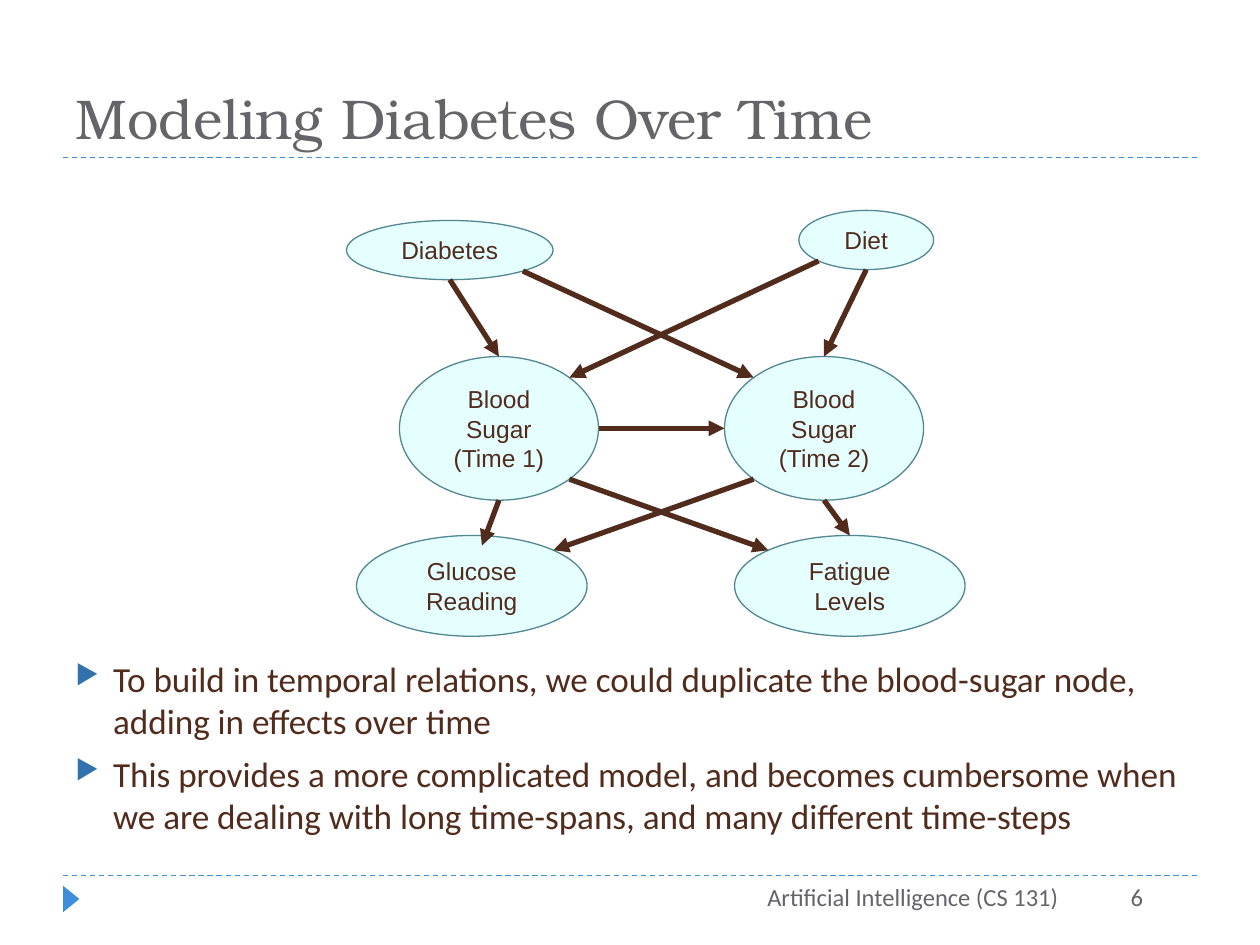
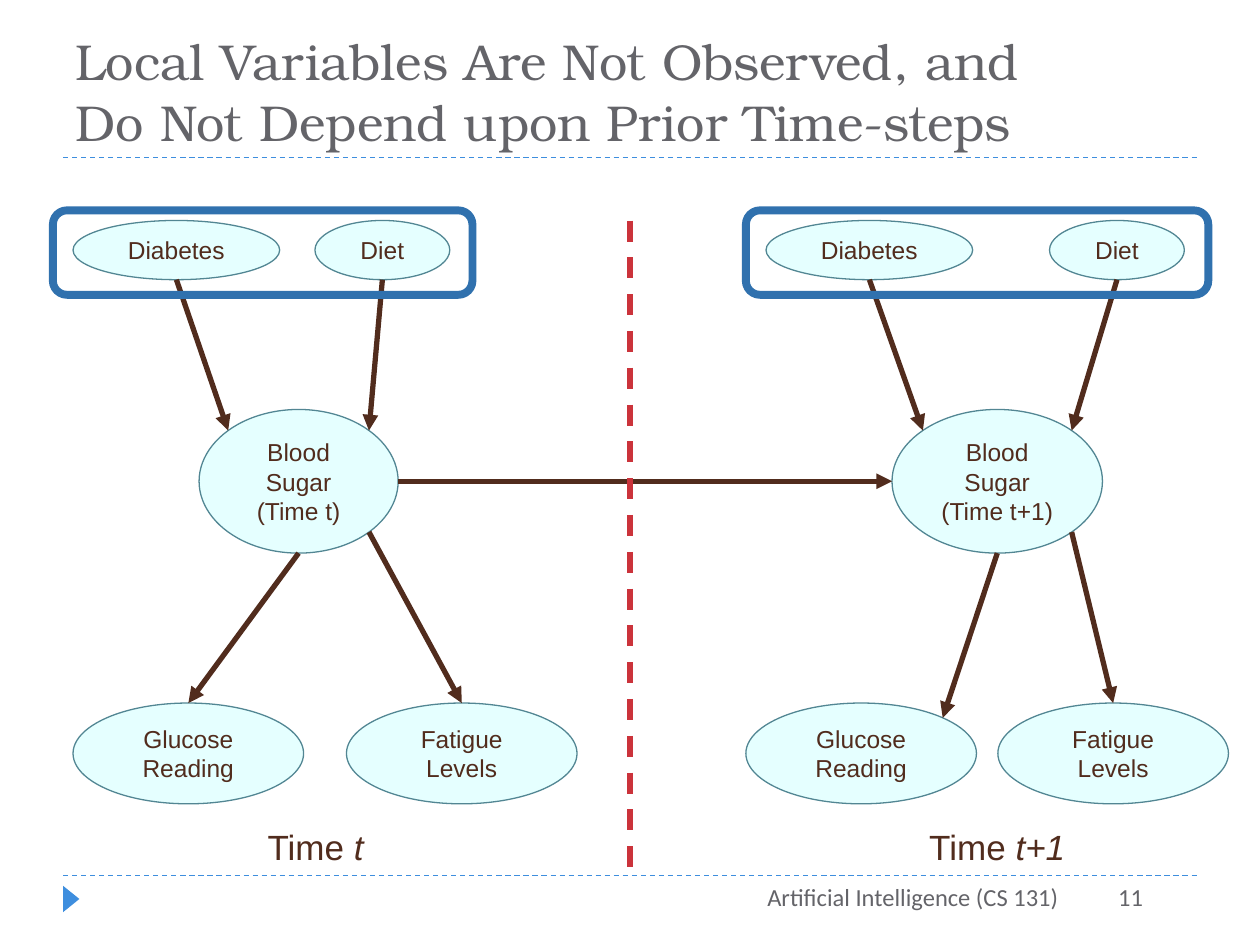
import math
from dataclasses import dataclass

import lxml.etree
import pptx
import pptx.dml.color
import pptx.enum.dml
import pptx.enum.shapes
import pptx.enum.text
import pptx.oxml.ns
import pptx.util

Inches = pptx.util.Inches
Color = pptx.dml.color.RGBColor
Shape = pptx.enum.shapes.MSO_SHAPE
Align = pptx.enum.text.PP_ALIGN
Anchor = pptx.enum.text.MSO_ANCHOR


@dataclass(frozen=True)
class Theme:
    accent: Color = Color.from_string("3E8EDE")
    frame: Color = Color.from_string("3071AE")
    gray: Color = Color.from_string("646469")
    brown: Color = Color.from_string("512C1D")
    node_fill: Color = Color.from_string("E5FFFF")
    node_line: Color = Color.from_string("528693")
    divider: Color = Color.from_string("CB333B")
    title_font: str = "TeX Gyre Bonum"
    body_font: str = "Calibri"
    node_font: str = "Arial"
    title_size: float = 32
    long_title_size: float = 28.8
    body_size: float = 20.1
    caption_size: float = 20
    small_size: float = 14
    thin: float = 0.75
    thick: float = 3
    frame_width: float = 4.5


DIAGONAL = math.sqrt(0.5)
SITES = {
    "top": (0, -1),
    "bottom": (0, 1),
    "left": (-1, 0),
    "right": (1, 0),
    "top left": (-DIAGONAL, -DIAGONAL),
    "top right": (DIAGONAL, -DIAGONAL),
    "bottom left": (-DIAGONAL, DIAGONAL),
    "bottom right": (DIAGONAL, DIAGONAL),
}
CAUSE_HEIGHT = 0.47
DIABETES_SIZE = (1.64, CAUSE_HEIGHT)
DIET_SIZE = (1.07, CAUSE_HEIGHT)
SUGAR_SIZE = (1.58, 1.14)
WIDE_SUGAR_SIZE = (1.67, 1.14)
SYMPTOM_SIZE = (1.83, 0.8)


def site_point(shape, site):
    across, down = SITES[site]
    return (
        int(shape.left + shape.width * (1 + across) / 2),
        int(shape.top + shape.height * (1 + down) / 2),
    )


class Deck:
    def __init__(self, theme):
        self.theme = theme
        self.presentation = pptx.Presentation()
        self.presentation.slide_width = Inches(10)
        self.presentation.slide_height = Inches(7.5)
        self.slide = None

    def style(self, paragraph, font, size, color, align=Align.LEFT):
        paragraph.alignment = align
        paragraph.font.name = font
        paragraph.font.size = pptx.util.Pt(size)
        paragraph.font.color.rgb = color

    def start_slide(self, title, number, title_size):
        theme = self.theme
        self.slide = self.presentation.slides.add_slide(self.presentation.slide_layouts[5])
        for height in (6.95, 1.25):
            self.line(
                (Inches(0.5), Inches(height)), (Inches(9.5), Inches(height)),
                theme.accent, theme.thin, dashed=True,
            )
        marker = self.shape(Shape.ISOSCELES_TRIANGLE, 0.46, 7.07, 0.21, 0.13, theme.accent)
        marker.rotation = 90
        heading = self.slide.shapes.title
        heading.left, heading.top = Inches(0.5), Inches(0.17)
        heading.width, heading.height = Inches(9), Inches(1.08)
        frame = heading.text_frame
        frame.text = title
        frame.auto_size = pptx.enum.text.MSO_AUTO_SIZE.NONE
        frame.vertical_anchor = Anchor.BOTTOM
        self.style(frame.paragraphs[0], theme.title_font, title_size, theme.gray)
        for text, left, width in (
            ("Artificial Intelligence (CS 131)", 3.83, 4.67),
            (str(number), 8.08, 1.09),
        ):
            footer = self.text_box(left, 6.95, width, 0.4)
            footer.text = text
            self.style(footer.paragraphs[0], theme.body_font, theme.small_size,
                       theme.gray, Align.RIGHT)

    def text_box(self, left, top, width, height):
        box = self.slide.shapes.add_textbox(
            Inches(left), Inches(top), Inches(width), Inches(height))
        box.text_frame.word_wrap = True
        return box.text_frame

    def shape(self, kind, left, top, width, height, fill=None, line=None, weight=0):
        shape = self.slide.shapes.add_shape(
            kind, Inches(left), Inches(top), Inches(width), Inches(height))
        shape.shadow.inherit = False
        if fill is None:
            shape.fill.background()
        else:
            shape.fill.solid()
            shape.fill.fore_color.rgb = fill
        if line is None:
            shape.line.fill.background()
        else:
            shape.line.color.rgb = line
            shape.line.width = pptx.util.Pt(weight)
        return shape

    def node(self, text, left, top, size):
        theme = self.theme
        node = self.shape(Shape.OVAL, left, top, *size,
                          theme.node_fill, theme.node_line, theme.thin)
        frame = node.text_frame
        frame.text = text
        frame.word_wrap = True
        frame.vertical_anchor = Anchor.MIDDLE
        for paragraph in frame.paragraphs:
            self.style(paragraph, theme.node_font, theme.small_size, theme.brown, Align.CENTER)
        return node

    def line(self, start, end, color, weight, dashed=False):
        connector = self.slide.shapes.add_connector(
            pptx.enum.shapes.MSO_CONNECTOR.STRAIGHT, *start, *end)
        connector.line.color.rgb = color
        connector.line.width = pptx.util.Pt(weight)
        if dashed:
            connector.line.dash_style = pptx.enum.dml.MSO_LINE.DASH
        lxml.etree.SubElement(connector._element.spPr, pptx.oxml.ns.qn("a:effectLst"))
        return connector

    def arrow(self, source, source_site, target, target_site, shift=(0, 0)):
        x, y = site_point(target, target_site)
        end = (x + Inches(shift[0]), y + Inches(shift[1]))
        connector = self.line(site_point(source, source_site), end,
                              self.theme.brown, self.theme.thick)
        lxml.etree.SubElement(connector.line._get_or_add_ln(),
                              pptx.oxml.ns.qn("a:tailEnd"), type="triangle")
        if target_site == "top" and shift == (0, 0):
            connector.end_connect(target, 0)

    def bullets(self, items, left, top, width, height):
        theme = self.theme
        qn = pptx.oxml.ns.qn
        frame = self.text_box(left, top, width, height)
        frame.text = "\n".join(items)
        for paragraph in frame.paragraphs:
            properties = paragraph._element.get_or_add_pPr()
            properties.set("marL", str(Inches(0.3)))
            properties.set("indent", str(-Inches(0.3)))
            bullet_color = lxml.etree.SubElement(properties, qn("a:buClr"))
            lxml.etree.SubElement(bullet_color, qn("a:srgbClr"), val=str(theme.frame))
            lxml.etree.SubElement(properties, qn("a:buSzPct"), val="76000")
            lxml.etree.SubElement(properties, qn("a:buChar"), char="▶")
            paragraph.space_before = pptx.util.Pt(6)
            self.style(paragraph, theme.body_font, theme.body_size, theme.brown)

    def time_caption(self, step, left):
        paragraph = self.text_box(left, 6.5, 1.67, 0.44).paragraphs[0]
        paragraph.add_run().text = "Time "
        variable = paragraph.add_run()
        variable.text = step
        variable.font.italic = True
        self.style(paragraph, self.theme.node_font, self.theme.caption_size,
                   self.theme.brown, Align.CENTER)

    def cause_frame(self, left, width):
        self.shape(Shape.ROUNDED_RECTANGLE, left, 1.67, width, 0.67,
                   line=self.theme.frame, weight=self.theme.frame_width)


def build_diabetes_over_time(deck):
    deck.start_slide("Modeling Diabetes Over Time", 6, deck.theme.title_size)
    deck.bullets(
        (
            "To build in temporal relations, we could duplicate the blood-sugar node, "
            "adding in effects over time",
            "This provides a more complicated model, and becomes cumbersome when we are "
            "dealing with long time-spans, and many different time-steps",
        ),
        0.5, 5.17, 9, 1.57,
    )
    diabetes = deck.node("Diabetes", 2.75, 1.75, DIABETES_SIZE)
    diet = deck.node("Diet", 6.34, 1.67, DIET_SIZE)
    first_sugar = deck.node("Blood Sugar\n(Time 1)", 3.17, 2.83, SUGAR_SIZE)
    second_sugar = deck.node("Blood Sugar\n(Time 2)", 5.75, 2.83, SUGAR_SIZE)
    glucose = deck.node("Glucose Reading", 2.83, 4.25, SYMPTOM_SIZE)
    fatigue = deck.node("Fatigue Levels", 5.83, 4.25, SYMPTOM_SIZE)
    for link in (
        (diabetes, "bottom", first_sugar, "top"),
        (diabetes, "bottom right", second_sugar, "top left"),
        (diet, "bottom left", first_sugar, "top right"),
        (diet, "bottom", second_sugar, "top"),
        (first_sugar, "right", second_sugar, "left"),
        (first_sugar, "bottom", glucose, "top", (0.08, 0.08)),
        (first_sugar, "bottom right", fatigue, "top left"),
        (second_sugar, "bottom left", glucose, "top right"),
        (second_sugar, "bottom", fatigue, "top"),
    ):
        deck.arrow(*link)


def build_time_slice(deck, step, lefts, sugar_size, glucose_site):
    diabetes_left, diet_left, sugar_left, glucose_left, fatigue_left = lefts
    diabetes = deck.node("Diabetes", diabetes_left, 1.75, DIABETES_SIZE)
    diet = deck.node("Diet", diet_left, 1.75, DIET_SIZE)
    sugar = deck.node(f"Blood Sugar (Time {step})", sugar_left, 3.25, sugar_size)
    glucose = deck.node("Glucose Reading", glucose_left, 5.58, SYMPTOM_SIZE)
    fatigue = deck.node("Fatigue Levels", fatigue_left, 5.58, SYMPTOM_SIZE)
    deck.arrow(diabetes, "bottom", sugar, "top left")
    deck.arrow(diet, "bottom", sugar, "top right")
    deck.arrow(sugar, "bottom", glucose, glucose_site)
    deck.arrow(sugar, "bottom right", fatigue, "top")
    return sugar


def build_local_variables(deck):
    deck.start_slide(
        "Local Variables Are Not Observed, and \vDo Not Depend upon Prior Time-steps",
        11, deck.theme.long_title_size,
    )
    current_sugar = build_time_slice(
        deck, "t", (0.58, 2.5, 1.58, 0.58, 2.75), SUGAR_SIZE, "top")
    next_sugar = build_time_slice(
        deck, "t+1", (6.08, 8.33, 7.08, 5.92, 7.92), WIDE_SUGAR_SIZE, "top right")
    deck.arrow(current_sugar, "right", next_sugar, "left")
    deck.line((Inches(5), Inches(1.75)), (Inches(5), Inches(6.92)),
              deck.theme.divider, deck.theme.thick, dashed=True)
    deck.time_caption("t", 1.67)
    deck.time_caption("t+1", 7.08)
    deck.cause_frame(0.42, 3.33)
    deck.cause_frame(5.92, 3.67)


def main():
    deck = Deck(Theme())
    build_diabetes_over_time(deck)
    build_local_variables(deck)
    deck.presentation.save("out.pptx")


if __name__ == "__main__":
    main()
